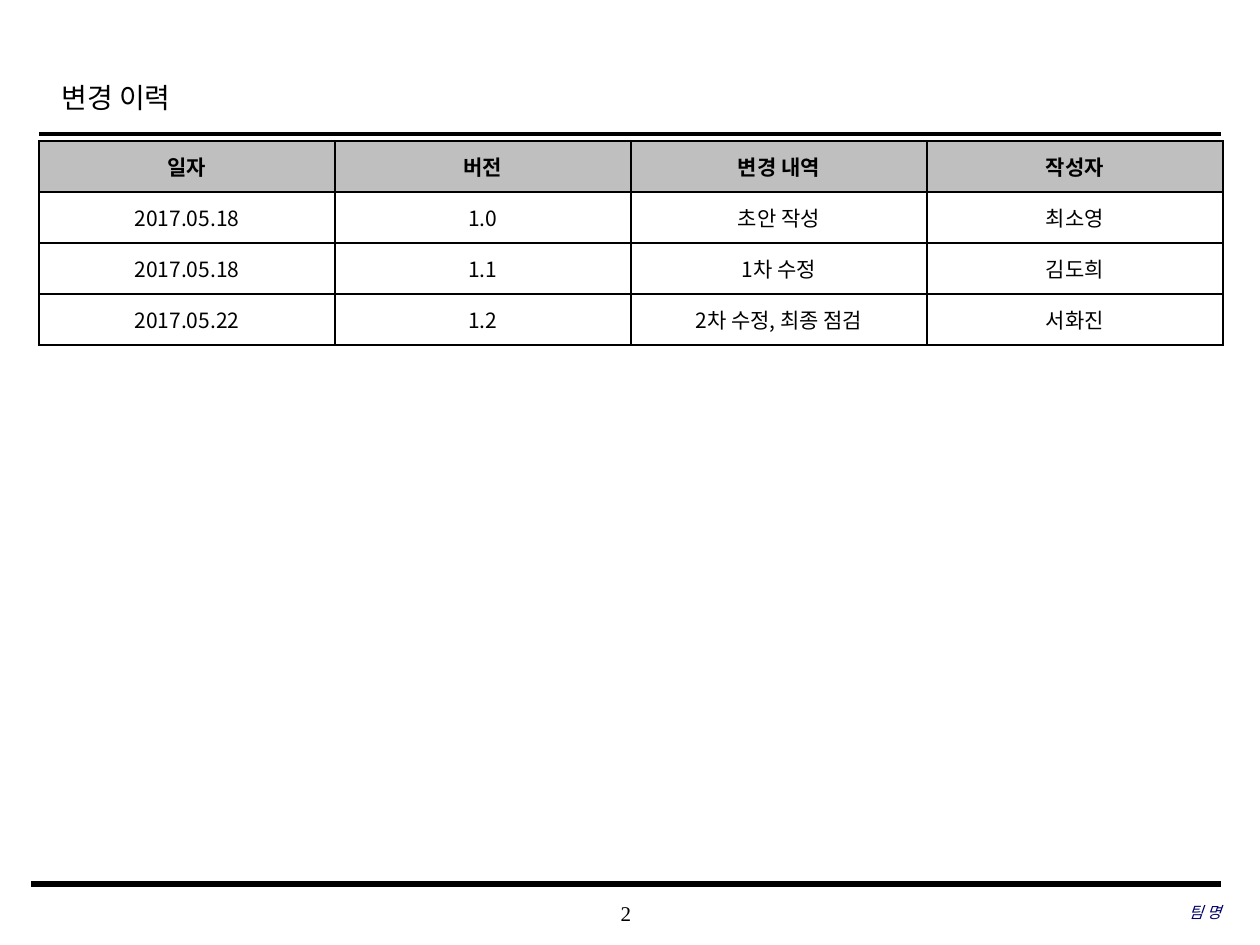
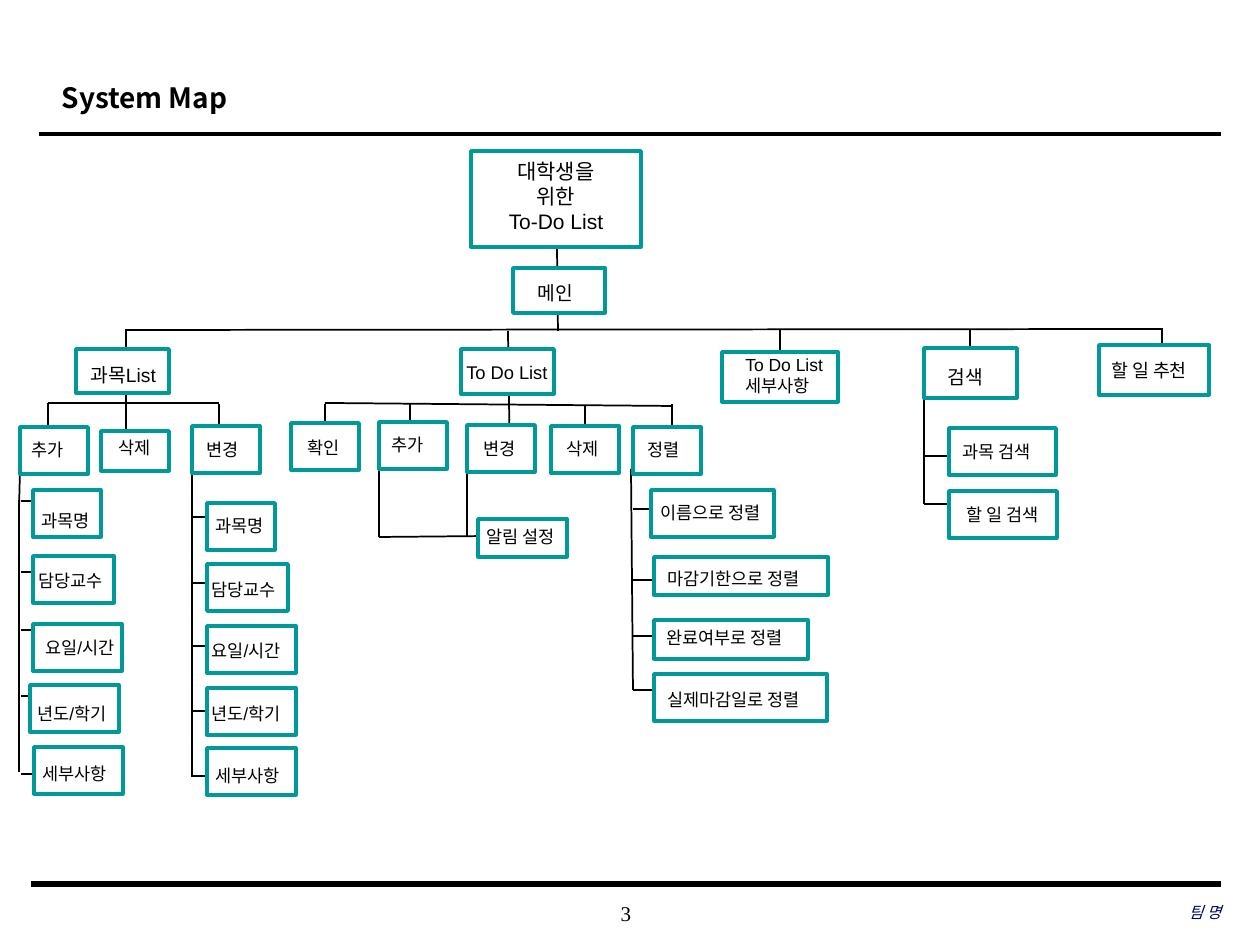
from lxml.etree import SubElement
from pptx import Presentation
from pptx.dml.color import RGBColor
from pptx.enum.shapes import MSO_CONNECTOR as Connector, MSO_SHAPE as Shape
from pptx.enum.text import MSO_ANCHOR as Anchor, MSO_AUTO_SIZE as AutoSize, PP_ALIGN as Align
from pptx.oxml.ns import qn
from pptx.util import Emu, Pt

BLACK = RGBColor(0x00, 0x00, 0x00)
WHITE = RGBColor(0xFF, 0xFF, 0xFF)
GREY = RGBColor(0xBF, 0xBF, 0xBF)
TEAL = RGBColor(0x00, 0x99, 0x99)
NAVY = RGBColor(0x00, 0x00, 0x66)
SANS = "Arial"
SERIF = "Times New Roman"
KOREAN = "Noto Sans CJK KR"

PIXEL = 914400 / 126
TITLE_ONLY = 5
FIRST_NUMBER = 2

HISTORY = [
    ("일자", "버전", "변경 내역", "작성자"),
    ("2017.05.18", "1.0", "초안 작성", "최소영"),
    ("2017.05.18", "1.1", "1차 수정", "김도희"),
    ("2017.05.22", "1.2", "2차 수정, 최종 점검", "서화진"),
]

# Each node: text, box (left, top, width, height), label (left, top, width), size
TOP_NODES = [
    ("메인", (513, 268, 92, 45), (525, 275, 113), 11),
    ("과목List", (76, 349, 93, 44), (78, 357, 103), 11),
    ("To Do List", (461, 349, 93, 45), (454, 355, 125), 10.5),
    ("To Do List\n세부사항", (722, 352, 116, 50), (733, 348, 144), 10),
    ("검색", (924, 348, 93, 50), (935, 359, 93), 11),
    ("할 일 추천", (1099, 345, 110, 50), (1099, 353, 117), 10.5),
]
LEAVES = [
    ("추가", (20, 427, 68, 47), (19, 433, 83)),
    ("삭제", (101, 431, 68, 40), (106, 431, 83)),
    ("변경", (192, 426, 68, 47), (194, 433, 83)),
    ("과목명", (33, 490, 68, 47), (29, 504, 115)),
    ("담당교수", (33, 556, 81, 47), (26, 564, 97)),
    ("요일/시간", (33, 624, 89, 47), (33, 631, 134)),
    ("년도/학기", (30, 685, 89, 47), (25, 697, 149)),
    ("세부사항", (34, 747, 89, 47), (30, 757, 127)),
    ("과목명", (207, 503, 68, 47), (203, 509, 115)),
    ("담당교수", (207, 564, 81, 47), (199, 573, 97)),
    ("요일/시간", (207, 626, 89, 47), (199, 634, 134)),
    ("년도/학기", (207, 688, 89, 47), (199, 697, 149)),
    ("세부사항", (207, 748, 89, 47), (203, 759, 127)),
    ("확인", (291, 423, 68, 47), (295, 431, 77)),
    ("추가", (379, 422, 68, 47), (379, 428, 77)),
    ("변경", (467, 425, 68, 47), (471, 432, 77)),
    ("삭제", (551, 426, 68, 47), (554, 432, 77)),
    ("정렬", (633, 427, 68, 47), (635, 433, 77)),
    ("알림 설정", (478, 519, 89, 38), (474, 520, 117)),
    ("이름으로 정렬", (651, 490, 123, 47), (648, 496, 145)),
    ("마감기한으로 정렬", (654, 557, 174, 38), (655, 562, 179)),
    ("완료여부로 정렬", (654, 620, 154, 39), (654, 621, 173)),
    ("실제마감일로 정렬", (654, 674, 173, 47), (655, 683, 178)),
    ("과목 검색", (949, 428, 107, 47), (950, 435, 154)),
    ("할 일 검색", (949, 491, 108, 47), (954, 498, 154)),
]
LINKS = [
    (557, 247, 558, 331), (126, 330, 1163, 329),
    (126, 329, 126, 457), (508, 331, 510, 466), (780, 329, 780, 353),
    (970, 329, 970, 348), (1162, 330, 1162, 348),
    (48, 403, 219, 403), (48, 403, 48, 456), (219, 404, 219, 457),
    (325, 403, 672, 406), (325, 404, 325, 457), (410, 403, 410, 456),
    (585, 406, 585, 459),
    (379, 466, 379, 537), (379, 537, 488, 536), (467, 467, 467, 537),
    (20, 470, 19, 509),
]
# Each branch: rail (x, top, x, bottom), stub start, stub end, stub heights, weight
BRANCHES = [
    ((19, 500, 19, 772), 21, 54, (501, 572, 630, 696, 774), 0.75),
    ((192, 467, 192, 777), 192, 227, (517, 583, 646, 711, 776), 1),
    ((631, 469, 633, 690), 633, 669, (509, 580, 636, 690), 1),
    ((924, 399, 924, 504), 924, 959, (456, 504), 1),
]


def px(*lengths):
    return [Emu(round(length * PIXEL)) for length in lengths]


def style(para, size, face, color=BLACK, align=Align.LEFT, bold=False, italic=False):
    para.alignment = align
    font = para.font
    font.size, font.name, font.bold, font.italic = Pt(size), face, bold, italic
    font.color.rgb = color
    defaults = para._p.pPr.find(qn("a:defRPr"))
    SubElement(defaults, qn("a:ea")).set("typeface", KOREAN)


def add_line(page, ends, weight=1):
    line = page.shapes.add_connector(Connector.STRAIGHT, *px(*ends))
    line.line.color.rgb = BLACK
    line.line.width = Pt(weight)
    SubElement(line._element.spPr, qn("a:effectLst"))


def add_footer(page, text, place, **look):
    frame = page.shapes.add_textbox(*px(*place)).text_frame
    frame.word_wrap = True
    frame.vertical_anchor = Anchor.MIDDLE
    frame.margin_left = frame.margin_right = frame.margin_top = frame.margin_bottom = 0
    frame.text = text
    style(frame.paragraphs[0], face=SERIF, **look)


def add_page(deck, title, face, bold=False):
    page = deck.slides.add_slide(deck.slide_layouts[TITLE_ONLY])
    number = FIRST_NUMBER + len(deck.slides) - 1
    add_footer(page, str(number), (495, 892, 262, 42), size=12, align=Align.CENTER)
    add_line(page, (39, 134, 1221, 134), 2.5)
    add_line(page, (31, 884, 1221, 884), 3)
    holder = page.shapes.title
    holder.left, holder.top, holder.width, holder.height = px(49, 62, 951, 63)
    frame = holder.text_frame
    frame.text = title
    frame.auto_size = AutoSize.NONE
    frame.vertical_anchor = Anchor.MIDDLE
    frame.paragraphs[0].line_spacing = 1.2
    style(frame.paragraphs[0], 16, face, bold=bold)
    add_footer(page, "팀 명", (835, 891, 386, 42), size=9, color=NAVY,
               align=Align.RIGHT, italic=True)
    return page


def add_borders(cell):
    properties = cell._tc.get_or_add_tcPr()
    for index, side in enumerate(("lnL", "lnR", "lnT", "lnB")):
        border = properties.makeelement(qn(f"a:{side}"), {"w": str(Pt(1))})
        fill = SubElement(border, qn("a:solidFill"))
        SubElement(fill, qn("a:srgbClr")).set("val", str(BLACK))
        properties.insert(index, border)


def add_history(page, rows):
    columns = len(rows[0])
    place = px(39, 141, 296 * columns, 51 * len(rows))
    table = page.shapes.add_table(len(rows), columns, *place).table
    for row, texts in enumerate(rows):
        header = row == 0
        for column, text in enumerate(texts):
            cell = table.cell(row, column)
            cell.text = text
            cell.vertical_anchor = Anchor.MIDDLE
            cell.fill.solid()
            cell.fill.fore_color.rgb = GREY if header else WHITE
            style(cell.text_frame.paragraphs[0], 12, KOREAN,
                  align=Align.CENTER, bold=header)
            add_borders(cell)


def add_node(page, text, place, label, size=10, align=Align.LEFT):
    box = page.shapes.add_shape(Shape.RECTANGLE, *px(*place))
    box.shadow.inherit = False
    box.fill.solid()
    box.fill.fore_color.rgb = WHITE
    box.line.color.rgb = TEAL
    box.line.width = Pt(2)
    lines = text.count("\n") + 1
    height = round(13 + 2.1 * size * lines)
    frame = page.shapes.add_textbox(*px(*label, height)).text_frame
    frame.word_wrap = True
    frame.auto_size = AutoSize.SHAPE_TO_FIT_TEXT
    frame.text = text
    for para in frame.paragraphs:
        style(para, size, SANS, align=align)


def add_branch(page, rail, start, end, heights, weight):
    add_line(page, rail, weight)
    for height in heights:
        add_line(page, (start, height, end, height), weight)


def add_system_map(page):
    for ends in LINKS:
        add_line(page, ends)
    add_line(page, (672, 404, 672, 457), 0.75)
    for branch in BRANCHES:
        add_branch(page, *branch)
    add_node(page, "대학생을\n위한\nTo-Do List", (471, 151, 170, 96),
             (483, 152, 146), 12, Align.CENTER)
    for node in TOP_NODES + LEAVES:
        add_node(page, *node)


def main():
    deck = Presentation()
    deck.slide_width, deck.slide_height = px(1260, 945)
    add_history(add_page(deck, "변경 이력", SERIF), HISTORY)
    add_system_map(add_page(deck, "System Map", KOREAN, bold=True))
    deck.save("out.pptx")


main()
